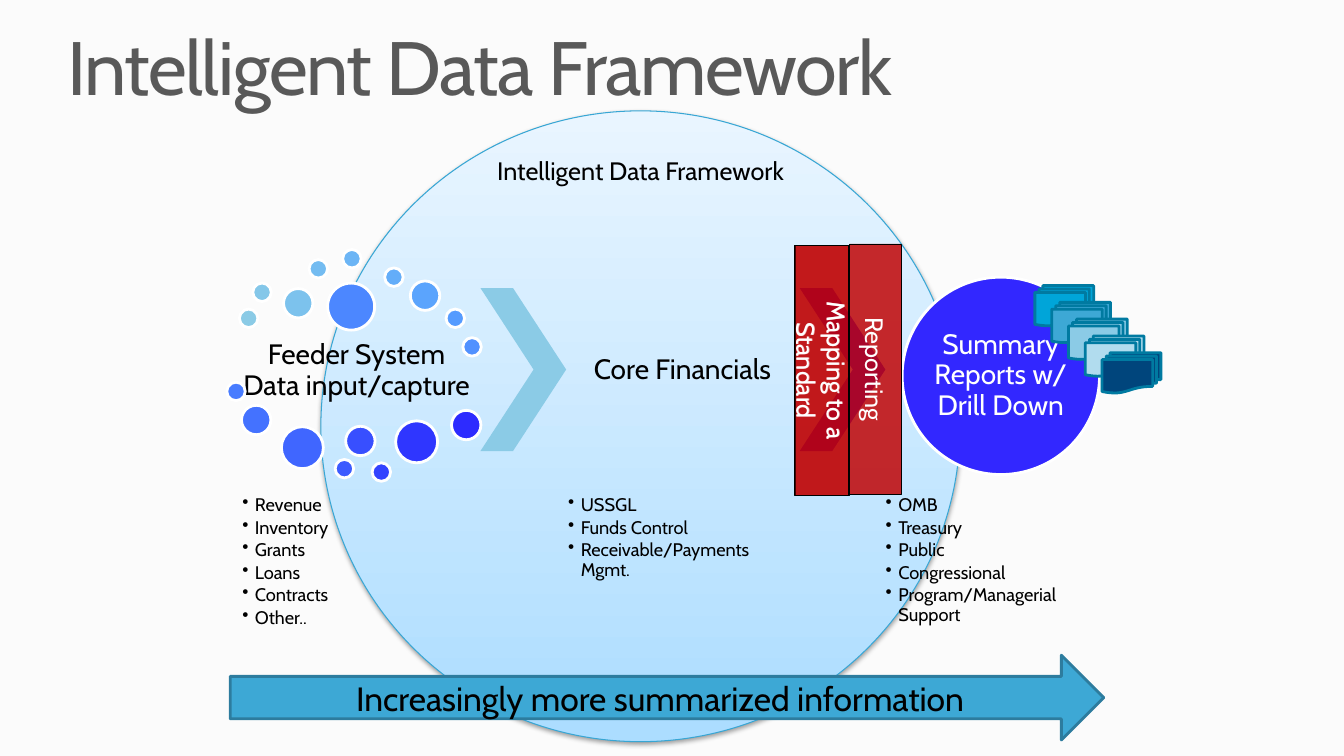
import pptx
import pptx.util
import pptx.dml.color
import pptx.enum.shapes
import pptx.enum.text
import pptx.oxml
import pptx.oxml.ns

KIND = pptx.enum.shapes.MSO_SHAPE
ANCHOR = pptx.enum.text.MSO_ANCHOR
ALIGN = pptx.enum.text.PP_ALIGN
RGB = pptx.dml.color.RGBColor.from_string
NAMESPACE = pptx.oxml.ns.nsdecls("a")

COLOURS = {
    "page": "FBFBFB", "title": "595959", "black": "000000", "white": "FFFFFF",
    "sky_low": "ACDDFF", "sky_high": "E9F5FF", "sky_line": "38A6D4",
    "chevron": "8BCBE6", "summary": "3227FF",
    "arrow": "3DA8D5", "arrow_line": "2D7C9E",
    "bar": "C00000", "document_line": "007AA1",
}

deck = pptx.Presentation()
deck.slide_width = pptx.util.Inches(13.333)
deck.slide_height = pptx.util.Inches(7.5)
CELL = deck.slide_height / 90  # the page is a grid of 160 columns by 90 rows
page = deck.slides.add_slide(deck.slide_layouts[6])
page.background.fill.solid()
page.background.fill.fore_color.rgb = RGB(COLOURS["page"])


def add_piece(kind, place, fill=None, line=None, width=2):
    """Add a preset shape, or a text box when kind is None, at grid cells."""
    lengths = [round(cells * CELL) for cells in place]
    if kind is None:
        return page.shapes.add_textbox(*lengths)
    shape = page.shapes.add_shape(kind, *lengths)
    shape.shadow.inherit = False
    if fill:
        shape.fill.solid()
        shape.fill.fore_color.rgb = RGB(fill)
    if line:
        shape.line.color.rgb = RGB(line)
        shape.line.width = pptx.util.Pt(width)
    else:
        shape.line.fill.background()
    return shape


def write(box, lines, size, colour="black", margin=None, anchor=ANCHOR.MIDDLE, **para_format):
    """Fill a shape with paragraphs of one style."""
    frame = box.text_frame
    frame.word_wrap = True
    frame.vertical_anchor = anchor
    if margin is not None:
        for side in ("left", "top", "right", "bottom"):
            setattr(frame, f"margin_{side}", pptx.util.Inches(margin))
    para_format = {"alignment": ALIGN.CENTER, **para_format}
    font_format = {"name": "Cabin", "size": pptx.util.Pt(size)}
    for index, line in enumerate(lines):
        para = frame.add_paragraph() if index else frame.paragraphs[0]
        para.text = line
        for name, value in para_format.items():
            setattr(para, name, value)
        for span in para.runs:
            for name, value in font_format.items():
                setattr(span.font, name, value)
            span.font.color.rgb = RGB(COLOURS[colour])
    return frame


# Framework circle with gradient and soft shadow
circle = add_piece(KIND.OVAL, (38.2, 13.2, 76.1, 75.1), line=COLOURS["sky_line"], width=0.75)
circle.fill.gradient()
circle.fill.gradient_angle = 90
for stop, name, position in zip(circle.fill.gradient_stops, ("sky_low", "sky_high"), (0, 1)):
    stop.color.rgb = RGB(COLOURS[name])
    stop.position = position
effects = circle._element.spPr.find(pptx.oxml.ns.qn("a:effectLst"))
effects.append(pptx.oxml.parse_xml(
    f'<a:outerShdw {NAMESPACE} blurRad="39400" dist="20300" dir="5400000" rotWithShape="0">'
    f'<a:srgbClr val="{COLOURS["black"]}"><a:alpha val="38000"/></a:srgbClr></a:outerShdw>'))
write(add_piece(None, (38.2, 17.8, 76.1, 5)), ["Intelligent Data Framework"], 18)

# Stage headings
HEADINGS = [
    ((28.6, 39.6, 27.7, 9.1), "Feeder System\vData input/capture"),
    ((67.4, 34.4, 27.7, 19.4), "Core Financials"),
]
for place, heading in HEADINGS:
    write(add_piece(None, place), [heading], 20, margin=0.03, line_spacing=0.9)

# Bulleted lists below the stages
LISTS = {
    28.6: ["Revenue", "Inventory", "Grants", "Loans", "Contracts", "Other.."],
    67.4: ["USSGL", "Funds Control", "Receivable/Payments Mgmt."],
    105.2: ["OMB", "Treasury", "Public", "Congressional", "Program/Managerial Support"],
}
for left, items in LISTS.items():
    frame = write(add_piece(None, (left, 58.8, 27.7, 17)), items, 13, margin=0.02,
                  anchor=ANCHOR.TOP, alignment=ALIGN.LEFT, line_spacing=0.9,
                  space_after=pptx.util.Pt(2))
    for para in frame.paragraphs:
        properties = para._p.get_or_add_pPr()
        properties.set("marL", "114300")
        properties.set("indent", "-114300")
        properties.append(pptx.oxml.parse_xml(f'<a:buChar {NAMESPACE} char="•"/>'))

# Ring of data dots: centre column, centre row, diameter, colour
SMALL, MEDIUM, LARGE, LARGEST = 2.2, 3.5, 5, 5.6
DOTS = [
    (29.6, 37.9, SMALL, "8BCBE6"), (31.2, 34.8, SMALL, "84C7E9"),
    (35.5, 36.1, MEDIUM, "7CC2ED"), (37.9, 32, SMALL, "74BCF1"),
    (41.9, 30.8, SMALL, "6CB5F5"), (46.9, 33, SMALL, "63ADF9"),
    (50.6, 35.2, MEDIUM, "5BA4FD"), (54.2, 37.9, SMALL, "559BFF"),
    (56.2, 41.3, SMALL, "5191FF"), (41.8, 36.5, LARGEST, "4C87FF"),
    (28.1, 46.6, SMALL, "487CFF"), (30.5, 50, MEDIUM, "4472FF"),
    (36, 53.3, LARGE, "4066FF"), (41, 55.8, SMALL, "3C5BFF"),
    (42.9, 52.5, MEDIUM, "384FFF"), (45.4, 56.2, SMALL, "3343FF"),
    (49.6, 52.6, LARGE, "2F36FF"), (55.5, 50.6, MEDIUM, "2D2BFF"),
]
for column, row, size, colour in DOTS:
    add_piece(KIND.OVAL, (column - size / 2, row - size / 2, size, size), colour, COLOURS["white"])

# Chevrons between the stages
for left, name in ((57.2, "chevron"), (95.2, "summary")):
    chevron = add_piece(KIND.CHEVRON, (left, 34.3, 10.2, 19.4), COLOURS[name])
    chevron.adjustments[0] = 0.62

# Summary circle
summary = add_piece(KIND.OVAL, (107.4, 33, 23.5, 23.5), COLOURS["summary"], COLOURS["white"])
write(summary, ["Summary Reports w/ Drill Down"], 20, "white", margin=0, line_spacing=0.9)

# Arrow along the bottom
arrow = add_piece(KIND.RIGHT_ARROW, (27.4, 78, 104, 10.1), COLOURS["arrow"], COLOURS["arrow_line"])
write(arrow, [" Increasingly more summarized information"], 24)

# Cascade of report stacks
for step, colour in enumerate(("00A5D9", "3DA8D5", "8BCBE6", "B1DCEE", "00457C")):
    add_piece(KIND.FLOWCHART_MULTIDOCUMENT, (123.2 + 2 * step, 34 + 2 * step, 7, 4.8),
              colour, COLOURS["document_line"])

# Upright translucent bars: left, thickness, opacity in percent, label
BARS = [
    (83, 6.4, 83, "Mapping to a Standard"),
    (89.3, 6.1, 83, "Reporting"),
    (82.9, 6.4, 36, "Mapping to a Standard"),
]
for left, thickness, opacity, label in BARS:
    bar = add_piece(KIND.RECTANGLE, (left, 40.9, 29.8, thickness),
                    COLOURS["bar"], COLOURS["black"], 0.5)
    bar.rotation = 90
    tint = bar._element.spPr.find(pptx.oxml.ns.qn("a:solidFill"))[0]
    tint.append(pptx.oxml.parse_xml(f'<a:alpha {NAMESPACE} val="{opacity * 1000}"/>'))
    write(bar, [label], 18, "white")

# Title
title = write(add_piece(None, (6.8, 3, 146.3, 9.8)), ["Intelligent Data Framework"], 54, "title",
              anchor=ANCHOR.TOP, alignment=ALIGN.LEFT, line_spacing=0.9)
title.paragraphs[0].runs[0].font._element.set("spc", "-100")

deck.save("out.pptx")
